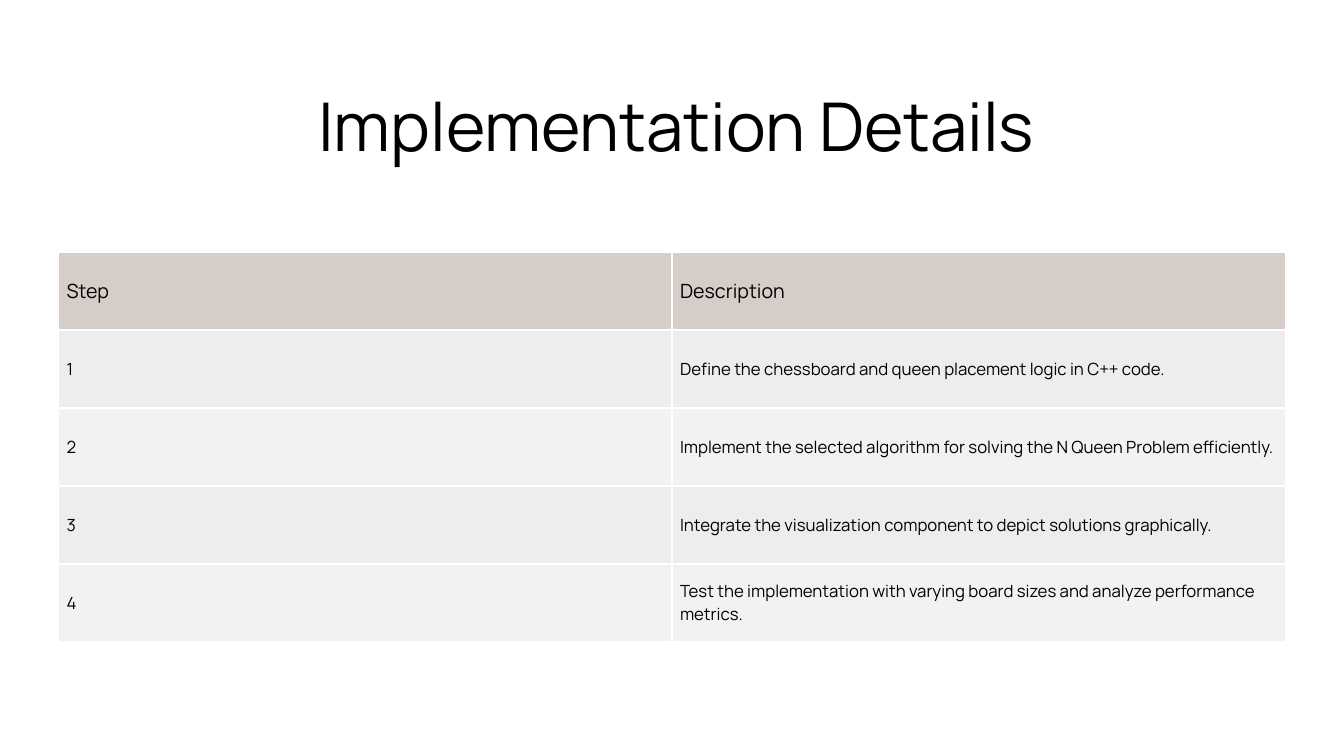
from lxml.etree import SubElement
from pptx import Presentation
from pptx.dml.color import RGBColor
from pptx.enum.text import MSO_ANCHOR as Anchor, MSO_AUTO_SIZE as AutoSize, PP_ALIGN as Align
from pptx.oxml.ns import qn
from pptx.util import Inches, Pt

FONT = "Manrope"
BLACK = RGBColor(0x00, 0x00, 0x00)
WHITE = RGBColor(0xFF, 0xFF, 0xFF)
HEADER_FILL = RGBColor(0xD7, 0xCD, 0xC8)
BAND_FILLS = (RGBColor(0xF3, 0xF2, 0xF2), RGBColor(0xED, 0xED, 0xED))

STEPS = [
    ("Step", "Description"),
    ("1", "Define the chessboard and queen placement logic in C++ code."),
    ("2", "Implement the selected algorithm for solving the N Queen Problem efficiently."),
    ("3", "Integrate the visualization component to depict solutions graphically."),
    ("4", "Test the implementation with varying board sizes and analyze performance metrics."),
]


def write_text(frame, text, size):
    """Put one formatted paragraph into a text frame and return it."""
    frame.text = text
    paragraph = frame.paragraphs[0]
    font = paragraph.runs[0].font
    font.name, font.size, font.color.rgb = FONT, Pt(size), BLACK
    return paragraph


def add_title(slide, text):
    """Place and format the slide title."""
    title = slide.shapes.title
    title.left, title.top = Inches(1), Inches(0.79)
    title.width, title.height = Inches(11.42), Inches(1.44)
    frame = title.text_frame
    frame.word_wrap = True
    frame.auto_size = AutoSize.NONE
    frame.vertical_anchor = Anchor.TOP
    write_text(frame, text, 48).alignment = Align.CENTER


def add_borders(cell, color, width):
    """Draw a solid line on all four sides of a cell."""
    properties = cell._tc.get_or_add_tcPr()
    for side in ("a:lnL", "a:lnR", "a:lnT", "a:lnB"):
        line = SubElement(properties, qn(side), w=str(Pt(width)))
        fill = SubElement(line, qn("a:solidFill"))
        SubElement(fill, qn("a:srgbClr"), val=str(color))


def format_cell(cell, text, size, fill):
    """Fill a table cell with text, margins, borders and colour."""
    write_text(cell.text_frame, text, size)
    cell.vertical_anchor = Anchor.MIDDLE
    cell.margin_left = cell.margin_right = Inches(0.08)
    cell.margin_top = cell.margin_bottom = Inches(0.08)
    add_borders(cell, WHITE, 1)
    cell.fill.solid()
    cell.fill.fore_color.rgb = fill


def add_steps_table(slide, steps):
    """Add the table of steps with a header row and banded body rows."""
    table = slide.shapes.add_table(
        len(steps), len(steps[0]),
        Inches(0.58), Inches(2.5), Inches(12.17), Inches(3.87),
    ).table
    for row, texts in enumerate(steps):
        size, fill = (12, BAND_FILLS[row % 2]) if row else (14, HEADER_FILL)
        for column, text in enumerate(texts):
            format_cell(table.cell(row, column), text, size, fill)


def main():
    """Build the slide and save it."""
    deck = Presentation()
    deck.slide_width, deck.slide_height = Inches(13.33), Inches(7.5)
    slide = deck.slides.add_slide(deck.slide_layouts[5])
    slide.background.fill.solid()
    slide.background.fill.fore_color.rgb = WHITE
    add_title(slide, "Implementation Details")
    add_steps_table(slide, STEPS)
    deck.save("out.pptx")


if __name__ == "__main__":
    main()
